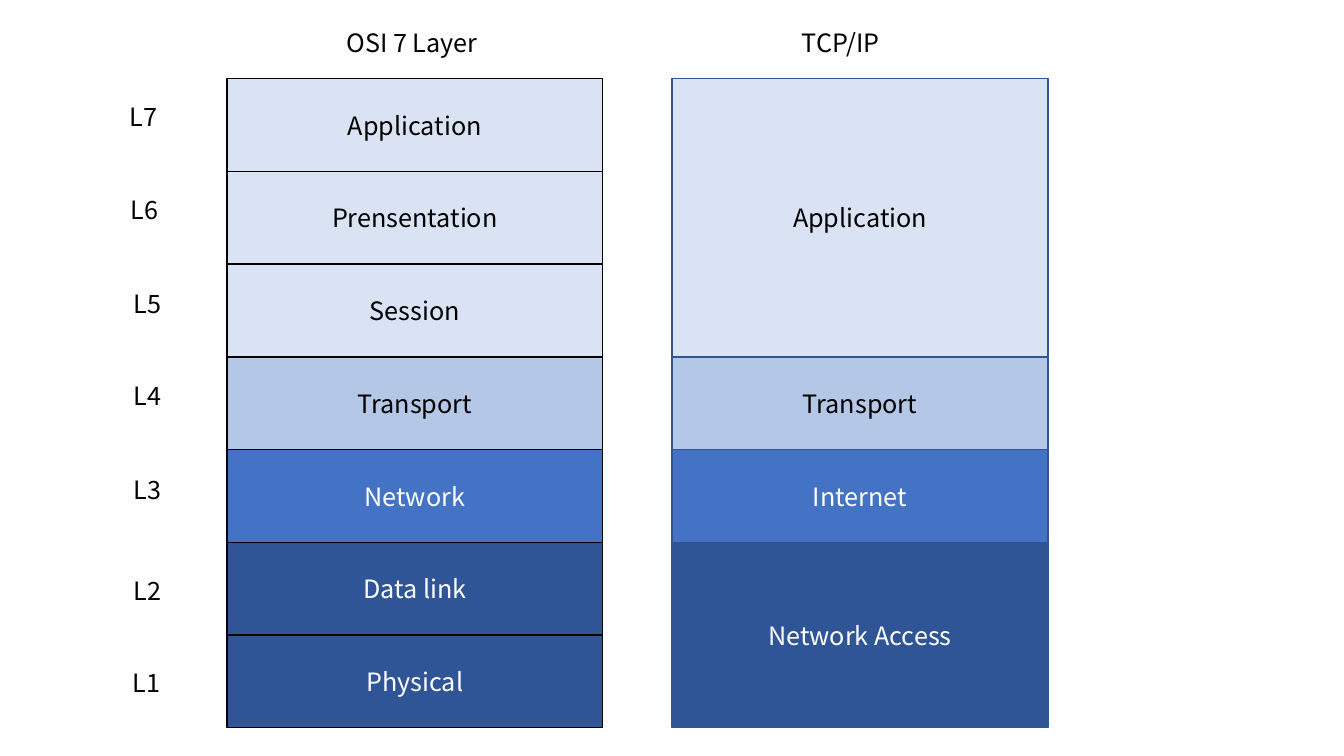
"""Build a slide that compares the OSI 7 layer stack with the TCP/IP stack."""
from pptx import Presentation
from pptx.dml.color import RGBColor
from pptx.enum.shapes import MSO_SHAPE
from pptx.enum.text import MSO_ANCHOR, MSO_AUTO_SIZE, PP_ALIGN
from pptx.util import Cm, Pt

RECT = MSO_SHAPE.RECTANGLE
MIDDLE = MSO_ANCHOR.MIDDLE
CENTER = PP_ALIGN.CENTER
GROW = MSO_AUTO_SIZE.SHAPE_TO_FIT_TEXT

FONT = "Noto Sans CJK KR"
COLORS = {
    "black": "000000", "white": "FFFFFF", "navy_line": "325491",
    "pale": "DAE3F3", "light": "B4C7E7", "mid": "4472C4", "dark": "2F5597",
}
TEXT_ON = {"pale": "black", "light": "black", "mid": "white", "dark": "white"}

STACKS = [
    {"title": "OSI 7 Layer", "title_left": 8.48, "left": 5.72, "line": "black",
     "layers": [("Application", 1, "pale"), ("Prensentation", 1, "pale"),
                ("Session", 1, "pale"), ("Transport", 1, "light"),
                ("Network", 1, "mid"), ("Data link", 1, "dark"),
                ("Physical", 1, "dark")]},
    {"title": "TCP/IP", "title_left": 19.96, "left": 16.94, "line": "navy_line",
     "layers": [("Application", 3, "pale"), ("Transport", 1, "light"),
                ("Internet", 1, "mid"), ("Network Access", 2, "dark")]},
]
LEVELS = [("L7", 3.02, 2.44), ("L6", 3.05, 4.78), ("L5", 3.12, 7.14),
          ("L4", 3.12, 9.47), ("L3", 3.12, 11.84), ("L2", 3.12, 14.38),
          ("L1", 3.1, 16.69)]

STACK_TOP, STACK_WIDTH, ROW = 1.98, 9.47, 2.337
TITLE_TOP, TITLE_WIDTH = 0.56, 6.45
LEVEL_WIDTH, LABEL_HEIGHT = 2.49, 1.03


def rgb(name):
    return RGBColor.from_string(COLORS[name])


def add_run(p, text, color):
    r = p.add_run()
    r.text = text
    r.font.size = Pt(18)
    r.font.name = FONT
    r.font.color.rgb = rgb(color)


def add_label(s, text, left, top, width):
    tf = s.shapes.add_textbox(Cm(left), Cm(top), Cm(width), Cm(LABEL_HEIGHT)).text_frame
    tf.word_wrap = True
    tf.auto_size = GROW
    add_run(tf.paragraphs[0], text, "black")


def add_layer(s, text, left, top, height, fill, line):
    sp = s.shapes.add_shape(RECT, Cm(left), Cm(top), Cm(STACK_WIDTH), Cm(height))
    sp.shadow.inherit = False
    sp.fill.solid()
    sp.fill.fore_color.rgb = rgb(fill)
    sp.line.color.rgb = rgb(line)
    sp.line.width = Pt(1)
    tf = sp.text_frame
    tf.word_wrap = True
    tf.vertical_anchor = MIDDLE
    p = tf.paragraphs[0]
    p.alignment = CENTER
    add_run(p, text, TEXT_ON[fill])


prs = Presentation()
prs.slide_width, prs.slide_height = Cm(33.87), Cm(19.05)
s = prs.slides.add_slide(prs.slide_layouts[6])

for stack in STACKS:
    row = 0
    for text, span, fill in stack["layers"]:
        add_layer(s, text, stack["left"], STACK_TOP + row * ROW, span * ROW,
                  fill, stack["line"])
        row += span
    add_label(s, stack["title"], stack["title_left"], TITLE_TOP, TITLE_WIDTH)

for text, left, top in LEVELS:
    add_label(s, text, left, top, LEVEL_WIDTH)

prs.save("out.pptx")
